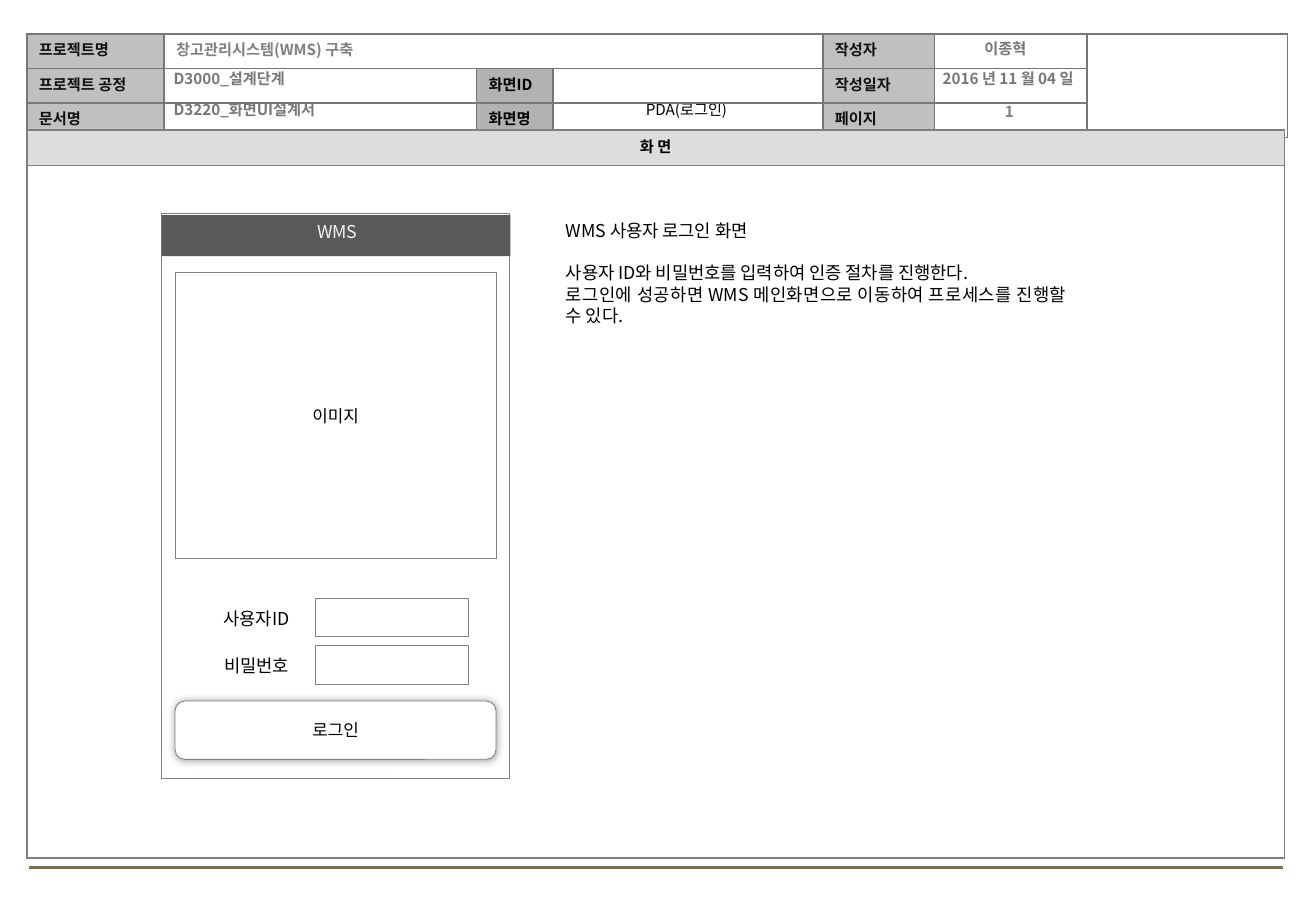
from lxml.etree import SubElement
from pptx import Presentation
from pptx.dml.color import RGBColor
from pptx.enum.shapes import MSO_CONNECTOR, MSO_SHAPE
from pptx.enum.text import MSO_ANCHOR, MSO_AUTO_SIZE, PP_ALIGN
from pptx.oxml.ns import qn
from pptx.util import Cm, Pt

FONT = "Noto Sans CJK KR"
BLACK, WHITE, GRAY, LABEL = "000000", "FFFFFF", "777777", "111111"
EDGE, LABEL_FILL, SCREEN_FILL = "808080", "C0C0C0", "B2B2B2"


def color(value):
    return RGBColor.from_string(value)


def lengths(*values):
    return [Cm(value) for value in values]


class Form:
    """Holds the text style and the current slide."""

    text_style = {"size": 9, "bold": False, "color": BLACK,
                  "align": PP_ALIGN.LEFT, "anchor": MSO_ANCHOR.TOP}

    def __init__(self, slide):
        self.slide = slide

    def set_text(self, frame, lines, gaps=(), **changes):
        style = {**self.text_style, **changes}
        frame.vertical_anchor = style["anchor"]
        for index, line in enumerate(lines):
            paragraph = frame.paragraphs[0] if index == 0 else frame.add_paragraph()
            paragraph.text = line
            space = gaps[index] if gaps else 0
            formats = {"alignment": style["align"], "space_before": Pt(space),
                       "line_spacing": Pt(style["size"] * 1.2)}
            for name, value in formats.items():
                setattr(paragraph, name, value)
            fonts = {"name": FONT, "size": Pt(style["size"]), "bold": style["bold"]}
            for name, value in fonts.items():
                setattr(paragraph.font, name, value)
            paragraph.font.color.rgb = color(style["color"])
            for run in paragraph.runs:
                run.font.name = FONT
                SubElement(run.font._element, qn("a:ea"), typeface=FONT)

    def title(self, box, text, **style):
        shape = self.slide.shapes.title
        for name, value in zip(("left", "top", "width", "height"), lengths(*box)):
            setattr(shape, name, value)
        shape.text_frame.auto_size = MSO_AUTO_SIZE.NONE
        self.set_text(shape.text_frame, [text], **style)

    def text(self, box, *lines, wrap=True, **style):
        frame = self.slide.shapes.add_textbox(*lengths(*box)).text_frame
        frame.word_wrap = wrap
        self.set_text(frame, lines, **style)

    def shape(self, box, fill=None, line=None, text=None, kind=MSO_SHAPE.RECTANGLE,
              weight=0.25, glow=False):
        shape = self.slide.shapes.add_shape(kind, *lengths(*box))
        shape.shadow.inherit = False
        if fill:
            shape.fill.solid()
            shape.fill.fore_color.rgb = color(fill)
        else:
            shape.fill.background()
        if line:
            shape.line.color.rgb = color(line)
            shape.line.width = Pt(weight)
        else:
            shape.line.fill.background()
        if glow:
            effects = shape._element.spPr.find(qn("a:effectLst"))
            shadow = SubElement(effects, qn("a:outerShdw"), blurRad=str(Pt(5)),
                                dist="0", dir="0", algn="ctr", rotWithShape="0")
            shade = SubElement(shadow, qn("a:srgbClr"), val=BLACK)
            SubElement(shade, qn("a:alpha"), val="40000")
        if text:
            self.set_text(shape.text_frame, [text], size=10, align=PP_ALIGN.CENTER,
                          anchor=MSO_ANCHOR.MIDDLE)

    def line(self, start, end, line, weight):
        connector = self.slide.shapes.add_connector(
            MSO_CONNECTOR.STRAIGHT, *lengths(*start, *end))
        connector.line.color.rgb = color(line)
        connector.line.width = Pt(weight)
        SubElement(connector._element.spPr, qn("a:effectLst"))

    def table(self, left, top, columns, rows, cells, border, merges=(), **style):
        """cells maps (row, column) to (text, text colour, fill)."""
        table = self.slide.shapes.add_table(
            len(rows), len(columns), *lengths(left, top, sum(columns), sum(rows))).table
        table.first_row = table.horz_banding = False
        for column, width in zip(table.columns, columns):
            column.width = Cm(width)
        for row, height in zip(table.rows, rows):
            row.height = Cm(height)
        for first, last in merges:
            table.cell(*first).merge(table.cell(*last))
        for row in range(len(rows)):
            for column in range(len(columns)):
                cell = table.cell(row, column)
                text, ink, fill = cells.get((row, column), ("", BLACK, None))
                self.set_text(cell.text_frame, [text], color=ink, bold=True, **style)
                cell.vertical_anchor = MSO_ANCHOR.MIDDLE
                cell.margin_top = cell.margin_bottom = Cm(0.1)
                self.borders(cell, border)
                if fill:
                    cell.fill.solid()
                    cell.fill.fore_color.rgb = color(fill)
                else:
                    cell.fill.background()

    def borders(self, cell, border):
        properties = cell._tc.get_or_add_tcPr()
        for side in ("lnL", "lnR", "lnT", "lnB"):
            edge = SubElement(properties, qn("a:" + side), w=str(Pt(1)))
            SubElement(SubElement(edge, qn("a:solidFill")), qn("a:srgbClr"), val=border)


def main():
    presentation = Presentation()
    presentation.slide_width, presentation.slide_height = lengths(27.51, 19.05)
    form = Form(presentation.slides.add_slide(presentation.slide_layouts[5]))
    center = {"align": PP_ALIGN.CENTER}
    entry = {"color": GRAY, "bold": True}

    # Document header
    form.line((0.61, 18.14), (26.82, 18.14), "7A6F54", 1.75)
    header = {(0, 1): ("창고관리시스템(WMS) 구축", EDGE, None)}
    label_columns = {
        0: (LABEL, LABEL_FILL, ("프로젝트명", "프로젝트 공정", "문서명")),
        2: (BLACK, SCREEN_FILL, (None, "화면ID", "화면명")),
        4: (LABEL, LABEL_FILL, ("작성자", "작성일자", "페이지")),
    }
    for column, (ink, fill, labels) in label_columns.items():
        for row, label in enumerate(labels):
            if label:
                header[row, column] = (label, ink, fill)
    form.table(0.56, 0.71, (2.87, 6.53, 1.6, 5.64, 2.34, 3.18, 4.19), [0.72] * 3,
               header, GRAY, merges=[((0, 1), (0, 3)), ((0, 6), (2, 6))])

    # Screen area
    form.table(0.56, 2.72, [26.29], (0.74, 14.48),
               {(0, 0): ("화 면", BLACK, "DDDDDD")}, EDGE, **center)

    # Header entries
    form.title((11.58, 1.98, 5.54, 0.64), "PDA(로그인)", **center)
    form.text((3.38, 1.32, 13.77, 0.64), "D3000_설계단계", **entry)
    form.text((3.38, 1.98, 13.77, 0.64), "D3220_화면UI설계서", **entry)
    form.text((19.02, 0.69, 3.99, 0.64), "이종혁", **entry, **center)
    form.text((19.08, 1.32, 3.99, 0.64), "2016 년 11 월 04 일", **entry, **center)
    form.text((19.51, 2.01, 3.18, 0.64), "1", color="7F7F7F", bold=True, **center)

    # Login screen mock-up
    form.shape((3.38, 4.47, 7.26, 11.81), line=EDGE)
    form.shape((3.38, 4.5, 7.29, 0.86), fill="595959")
    form.text((3.43, 4.5, 7.24, 0.71), "WMS", size=10.5, color="F2F2F2", **center)
    form.shape((3.66, 5.69, 6.71, 5.99), WHITE, EDGE, "이미지")
    for row, label in enumerate(("사용자ID", "비밀번호")):
        top = 12.5 + row * 0.99
        form.shape((6.58, top, 3.2, 0.81), WHITE, EDGE)
        form.text((4.36, top + 0.08, 2.01, 0.71), label, wrap=False, size=10.5, **center)
    form.shape((3.66, 14.66, 6.71, 1.22), WHITE, EDGE, "로그인",
               kind=MSO_SHAPE.ROUNDED_RECTANGLE, weight=0.5, glow=True)

    # Description
    form.text((11.58, 4.47, 10.97, 2.49),
              "WMS 사용자 로그인 화면",
              "사용자 ID와 비밀번호를 입력하여 인증 절차를 진행한다.",
              "로그인에 성공하면 WMS 메인화면으로 이동하여 프로세스를 진행할 수 있다.",
              gaps=(0, 12.6, 0), size=10.5, align=PP_ALIGN.JUSTIFY)

    presentation.save("out.pptx")


if __name__ == "__main__":
    main()
